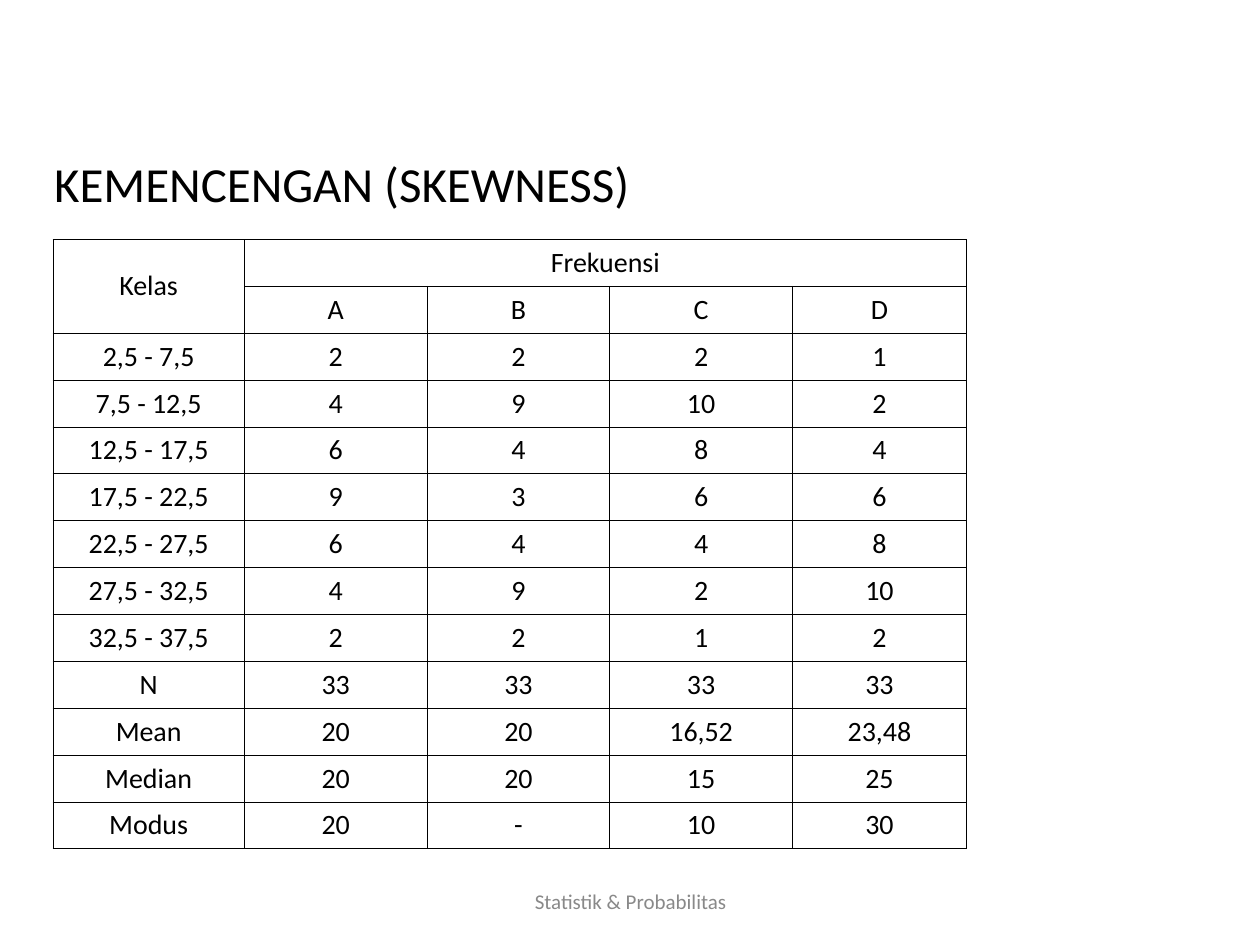
from lxml import etree
from pptx import Presentation, util as u
from pptx.dml.color import RGBColor
from pptx.enum import text
from pptx.oxml import ns

CLASSES = [
    ("2,5 - 7,5", "2", "2", "2", "1"),
    ("7,5 - 12,5", "4", "9", "10", "2"),
    ("12,5 - 17,5", "6", "4", "8", "4"),
    ("17,5 - 22,5", "9", "3", "6", "6"),
    ("22,5 - 27,5", "6", "4", "4", "8"),
    ("27,5 - 32,5", "4", "9", "2", "10"),
    ("32,5 - 37,5", "2", "2", "1", "2"),
]
SUMMARY = [
    ("N", "33", "33", "33", "33"),
    ("Mean", "20", "20", "16,52", "23,48"),
    ("Median", "20", "20", "15", "25"),
    ("Modus", "20", "-", "10", "30"),
]
HEADER = [("Kelas", "Frekuensi", "", "", ""), ("", "A", "B", "C", "D")]


def colour(value):
    return RGBColor.from_string(value)


class Deck:
    font = "Calibri"
    ink = "000000"
    muted = "898989"
    rule = 0.45

    def __init__(self, width, height):
        self.prs = Presentation()
        self.prs.slide_width, self.prs.slide_height = u.Inches(width), u.Inches(height)
        self.slide = self.prs.slides.add_slide(self.prs.slide_layouts[5])

    def box(self, left, top, width, height):
        w, h = self.prs.slide_width, self.prs.slide_height
        return [round(v) for v in (left * w, top * h, width * w, height * h)]

    def set_words(self, frame, words, size, ink, align):
        frame.text = words
        paragraph = frame.paragraphs[0]
        paragraph.alignment = align
        for run in paragraph.runs:
            run.font.name, run.font.size = self.font, u.Pt(size)
            run.font.color.rgb = colour(ink)

    def title(self, words, area):
        heading = self.slide.shapes.title
        heading.left, heading.top, heading.width, heading.height = self.box(*area)
        heading.text_frame.vertical_anchor = text.MSO_ANCHOR.MIDDLE
        self.set_words(heading.text_frame, words, 28, self.ink, text.PP_ALIGN.LEFT)

    def footer(self, words, area):
        frame = self.slide.shapes.add_textbox(*self.box(*area)).text_frame
        frame.word_wrap = True
        frame.vertical_anchor = text.MSO_ANCHOR.MIDDLE
        self.set_words(frame, words, 12, self.muted, text.PP_ALIGN.CENTER)

    def borders(self, cell):
        properties = cell._tc.get_or_add_tcPr()
        for side in ("lnL", "lnR", "lnT", "lnB"):
            line = etree.SubElement(properties, ns.qn(f"a:{side}"), w=str(u.Pt(self.rule)))
            fill = etree.SubElement(line, ns.qn("a:solidFill"))
            etree.SubElement(fill, ns.qn("a:srgbClr"), val=self.ink)

    def table(self, header, body, area, column_shares):
        rows = header + body
        left, top, width, height = self.box(*area)
        grid = self.slide.shapes.add_table(
            len(rows), len(column_shares), left, top, width, height).table
        grid.first_row = grid.horz_banding = False
        for column, share in zip(grid.columns, column_shares):
            column.width = round(width * share / sum(column_shares))
        for r, row in enumerate(rows):
            for c, words in enumerate(row):
                cell = grid.cell(r, c)
                self.borders(cell)
                cell.fill.background()
                cell.vertical_anchor = (
                    text.MSO_ANCHOR.MIDDLE if r < len(header) else text.MSO_ANCHOR.BOTTOM)
                self.set_words(cell.text_frame, words, 16, self.ink, text.PP_ALIGN.CENTER)
        grid.cell(0, 0).merge(grid.cell(1, 0))
        grid.cell(0, 1).merge(grid.cell(0, len(column_shares) - 1))


def main():
    deck = Deck(10, 7.5)
    deck.table(HEADER, CLASSES + SUMMARY, (0.042, 1.9 / 7.5, 0.725, 4.77 / 7.5),
               (1.52, 1.45, 1.45, 1.45, 1.38))
    deck.title("KEMENCENGAN (SKEWNESS)", (0.033, 0.83 / 7.5, 0.9, 1.25 / 7.5))
    deck.footer("Statistik & Probabilitas", (0.342, 6.95 / 7.5, 0.317, 0.4 / 7.5))
    deck.prs.save("out.pptx")


if __name__ == "__main__":
    main()
